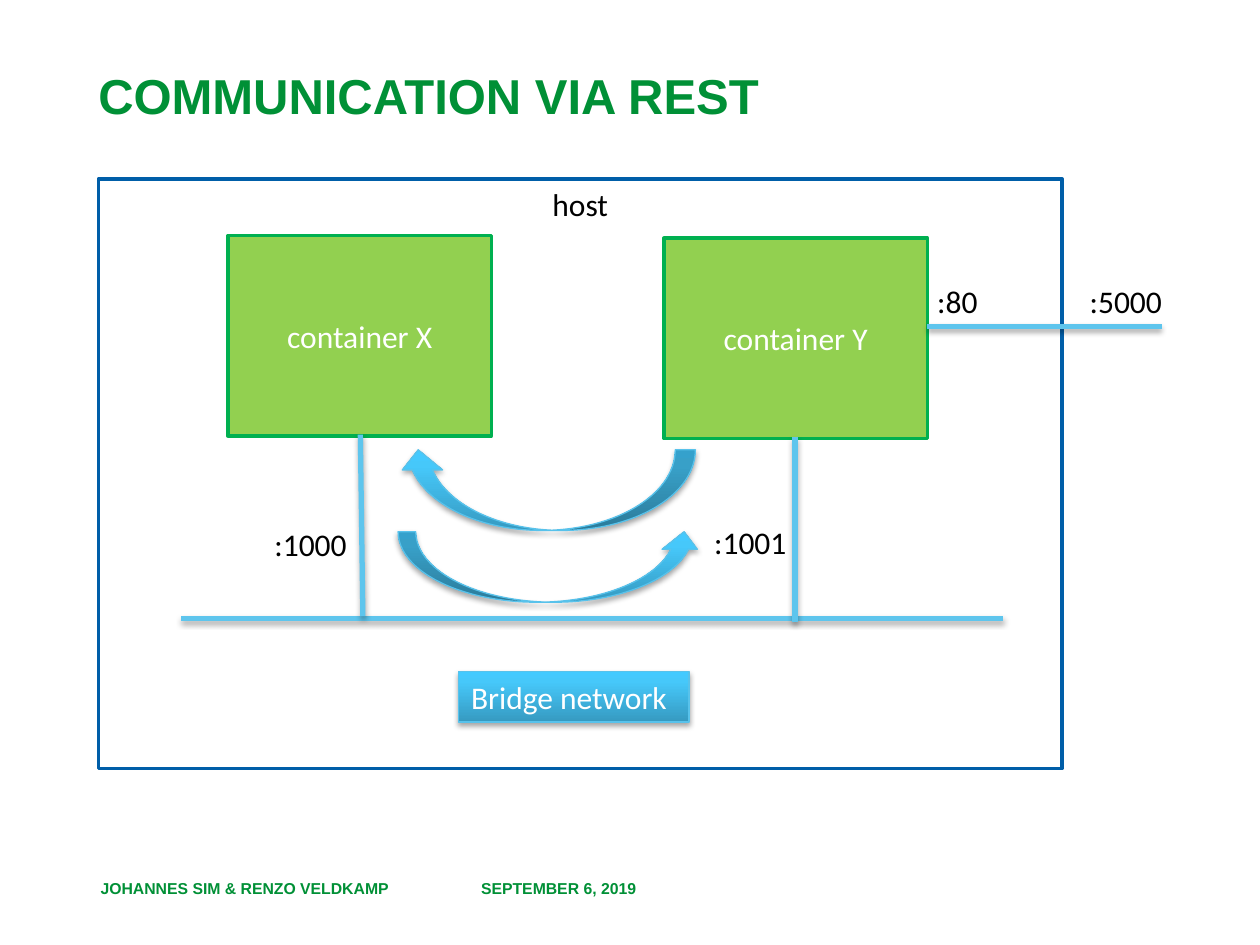
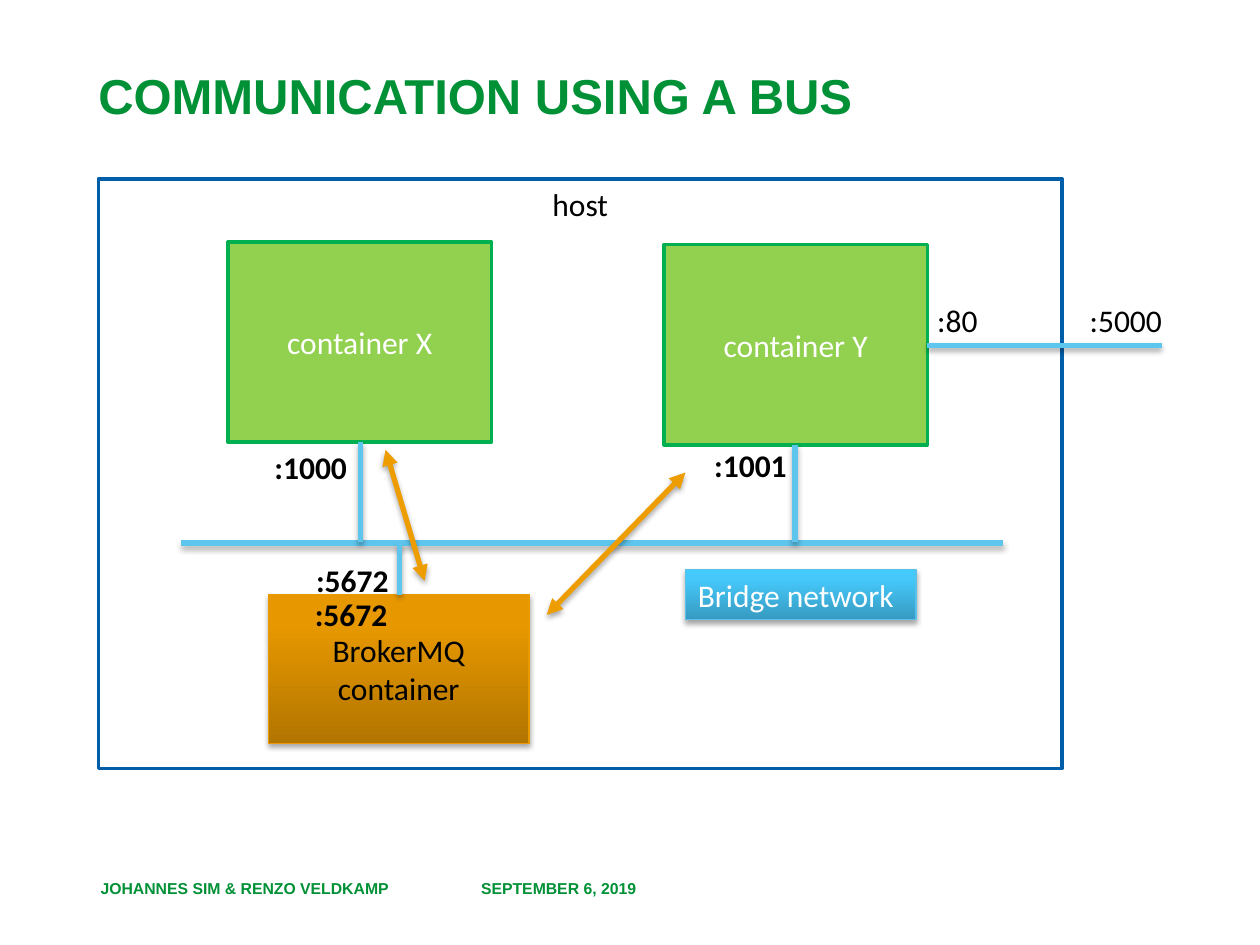
from lxml.etree import SubElement
from pptx import Presentation
from pptx.dml.color import RGBColor
from pptx.enum.shapes import MSO_CONNECTOR, MSO_SHAPE
from pptx.enum.text import MSO_ANCHOR, MSO_AUTO_SIZE, PP_ALIGN
from pptx.oxml.ns import qn
from pptx.util import Inches, Pt

COLORS = {
    "title": "009036", "white": "FFFFFF", "black": "000000",
    "host": "005EA8", "box": "92D050", "box_line": "00B050",
    "wire": "5EC5ED", "blue_line": "58C2EB",
    "orange_line": "E99A00", "arrow": "EE9D00",
}
# Gradient stops: percent and colour, from bottom to top
BLUE = [(0, "369AC1"), (80, "46C8FA"), (100, "43CAFF")]
ORANGE = [(0, "B27500"), (80, "E79800"), (100, "E89900")]

BOX_W, BOX_H = 2.09, 1.59
X_LEFT, Y_LEFT = 1.81, 5.27
X_MID, Y_MID = 2.86, 6.31


def rgb(name):
    return RGBColor.from_string(COLORS[name])


class Deck:
    def __init__(self):
        self.prs = Presentation()
        self.prs.slide_width, self.prs.slide_height = Inches(10), Inches(7.5)
        self.slide = None

    def new_slide(self, title):
        self.slide = self.prs.slides.add_slide(self.prs.slide_layouts[5])
        s = self.slide.shapes.title
        s.left, s.top, s.width, s.height = map(Inches, (0.68, 0.52, 8.93, 0.9))
        tf = s.text_frame
        tf.auto_size = MSO_AUTO_SIZE.NONE
        tf.vertical_anchor = MSO_ANCHOR.TOP
        self.set_text(tf, title, "title", 28, True, PP_ALIGN.LEFT, "Arial")
        tf.paragraphs[0].line_spacing = Pt(30)
        self.footer(3.72, 2.33, "SEPTEMBER 6, 2019")
        self.footer(0.7, 2.88, "JOHANNES SIM & RENZO VELDKAMP")

    def set_text(self, tf, text, color="black", size=18, bold=False,
                 align=PP_ALIGN.LEFT, font="Calibri"):
        tf.text = text
        for p in tf.paragraphs:
            p.alignment = align
            p.font.name, p.font.size, p.font.bold = font, Pt(size), bold
            p.font.color.rgb = rgb(color)

    def footer(self, x, w, text):
        s = self.slide.shapes.add_textbox(*map(Inches, (x, 6.85, w, 0.4)))
        tf = s.text_frame
        tf.word_wrap = True
        tf.vertical_anchor = MSO_ANCHOR.MIDDLE
        self.set_text(tf, text, "title", 9, True, font="Arial")

    def label(self, x, y, text, bold=False, w=0.78):
        s = self.slide.shapes.add_textbox(*map(Inches, (x, y, w, 0.4)))
        tf = s.text_frame
        tf.word_wrap = False
        tf.auto_size = MSO_AUTO_SIZE.SHAPE_TO_FIT_TEXT
        self.set_text(tf, text, bold=bold)

    def cast_shadow(self, effects):
        shadow = SubElement(effects, qn("a:outerShdw"), blurRad="40000", dist="23000",
                            dir="5400000", rotWithShape="0")
        color = SubElement(shadow, qn("a:srgbClr"), val=COLORS["black"])
        SubElement(color, qn("a:alpha"), val="35000")

    def shape(self, kind, x, y, w, h, line, width):
        s = self.slide.shapes.add_shape(kind, *map(Inches, (x, y, w, h)))
        s.shadow.inherit = False
        s.line.color.rgb, s.line.width = rgb(line), Pt(width)
        return s

    def flat_box(self, x, y, w, h, text, fill, line, color, anchor=MSO_ANCHOR.MIDDLE):
        s = self.shape(MSO_SHAPE.RECTANGLE, x, y, w, h, line, 2)
        s.fill.solid()
        s.fill.fore_color.rgb = rgb(fill)
        s.text_frame.vertical_anchor = anchor
        self.set_text(s.text_frame, text, color, align=PP_ALIGN.CENTER)

    def glossy(self, kind, x, y, w, h, stops=BLUE, line="blue_line"):
        s = self.shape(kind, x, y, w, h, line, 0.75)
        s.fill.gradient()
        s.fill.gradient_angle = 90
        props = s.element.spPr
        stop_list = props.find(qn("a:gradFill")).find(qn("a:gsLst"))
        for stop in list(stop_list):
            stop_list.remove(stop)
        for percent, color in stops:
            stop = SubElement(stop_list, qn("a:gs"), pos=str(percent * 1000))
            SubElement(stop, qn("a:srgbClr"), val=color)
        self.cast_shadow(props.find(qn("a:effectLst")))
        return s

    def curved_arrow(self, x, y, w, h, flip=False):
        s = self.glossy(MSO_SHAPE.CURVED_UP_ARROW, x, y, w, h)
        if flip:
            s.element.spPr.find(qn("a:xfrm")).set("flipH", "1")

    def line(self, x1, y1, x2, y2, color="wire", arrows=False):
        s = self.slide.shapes.add_connector(
            MSO_CONNECTOR.STRAIGHT, *map(Inches, (x1, y1, x2, y2)))
        s.line.color.rgb, s.line.width = rgb(color), Pt(3)
        props = s.element.spPr
        if arrows:
            for end in ("a:headEnd", "a:tailEnd"):
                SubElement(props.find(qn("a:ln")), qn(end), type="triangle")
        self.cast_shadow(SubElement(props, qn("a:effectLst")))

    def network_label(self, x, y):
        s = self.glossy(MSO_SHAPE.RECTANGLE, x, y, 1.83, 0.4)
        tf = s.text_frame
        tf.word_wrap = False
        tf.auto_size = MSO_AUTO_SIZE.SHAPE_TO_FIT_TEXT
        tf.vertical_anchor = MSO_ANCHOR.TOP
        self.set_text(tf, "Bridge network", "white")

    def host(self, box_y, bus_y, outer_y):
        """Host frame with two containers, the bus line and the outside port."""
        self.flat_box(0.78, 1.42, 7.65, 4.68, "host", "white", "host", "black",
                      MSO_ANCHOR.TOP)
        self.line(1.44, bus_y, 7.96, bus_y)
        for x, y, name in ((X_LEFT, box_y, "X"), (Y_LEFT, box_y + 0.02, "Y")):
            self.flat_box(x, y, BOX_W, BOX_H, f"container {name}",
                          "box", "box_line", "white")
        self.line(Y_LEFT + BOX_W, outer_y, 9.22, outer_y)
        self.label(7.34, outer_y - 0.4, ":80", w=0.53)
        self.label(8.55, outer_y - 0.4, ":5000")

    def inner_ports(self, y, bold=False):
        self.label(2.08, y + 0.02, ":1000", bold)
        self.label(5.57, y, ":1001", bold)


deck = Deck()

# Slide 1: direct calls between containers
deck.new_slide("COMMUNICATION VIA REST")
deck.host(1.87, 4.91, 2.59)
deck.network_label(3.64, 5.33)
deck.line(X_MID, 3.45, 2.88, 4.89)
deck.line(Y_MID, 3.47, Y_MID, 4.94)
deck.inner_ports(4.1)
deck.curved_arrow(3.16, 4.22, 2.41, 0.56)
deck.curved_arrow(3.16, 3.57, 2.36, 0.64, flip=True)

# Slide 2: messages through a broker container
deck.new_slide("COMMUNICATION USING A BUS")
deck.host(1.92, 4.31, 2.74)
deck.line(X_MID, 3.51, X_MID, 4.3)
deck.line(Y_MID, 3.53, Y_MID, 4.3)
deck.inner_ports(3.49, bold=True)
broker = deck.glossy(MSO_SHAPE.RECTANGLE, 2.13, 4.72, 2.07, 1.18, ORANGE, "orange_line")
deck.set_text(broker.text_frame, "BrokerMQ\ncontainer", align=PP_ALIGN.CENTER)
deck.line(3.17, 4.32, 3.17, 4.72)
deck.label(2.4, 4.67, ":5672", bold=True)
deck.label(2.41, 4.4, ":5672", bold=True)
deck.network_label(5.44, 4.52)
deck.line(5.44, 3.75, 4.34, 4.88, "arrow", arrows=True)
deck.line(3.06, 3.57, 3.37, 4.61, "arrow", arrows=True)

deck.prs.save("out.pptx")
